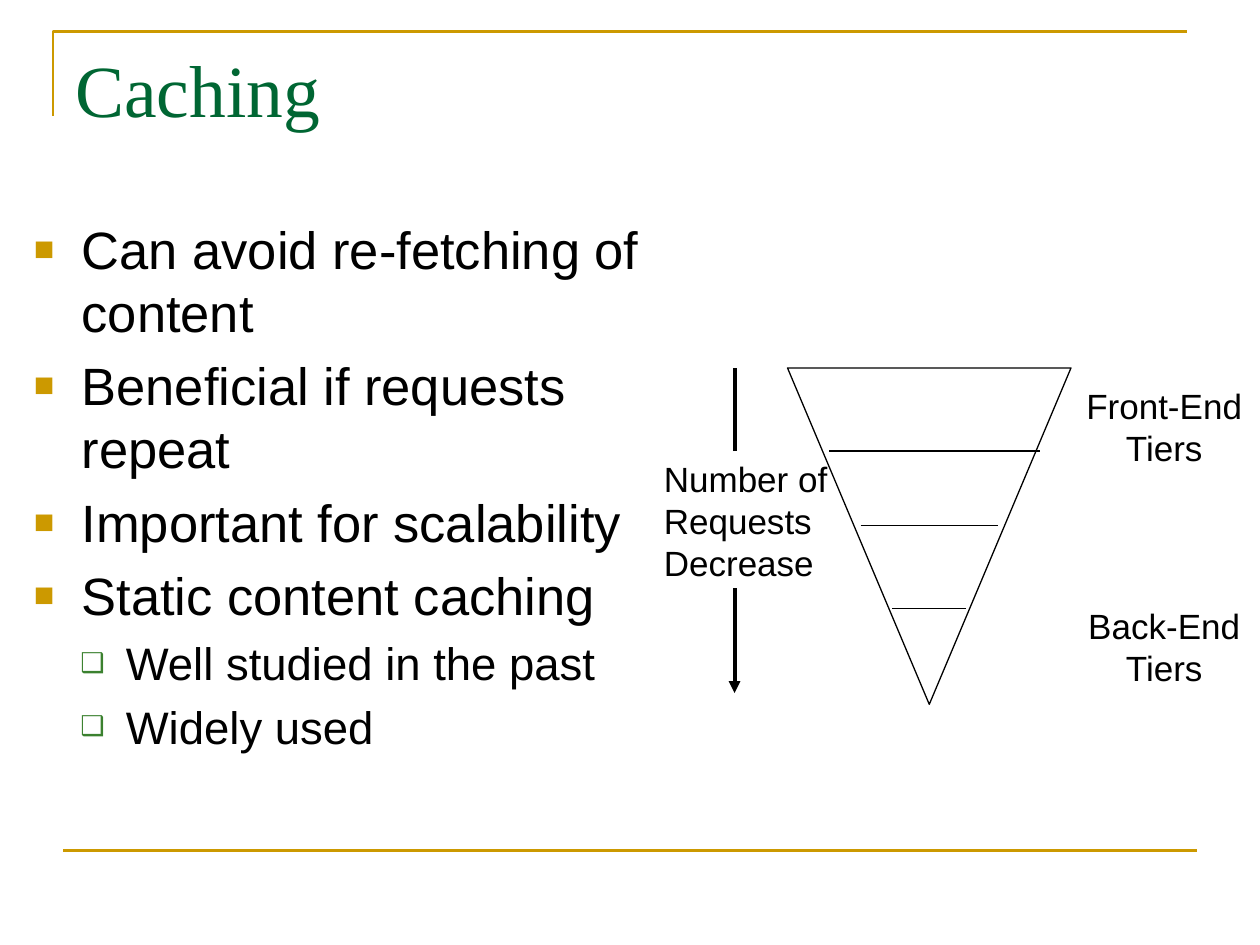
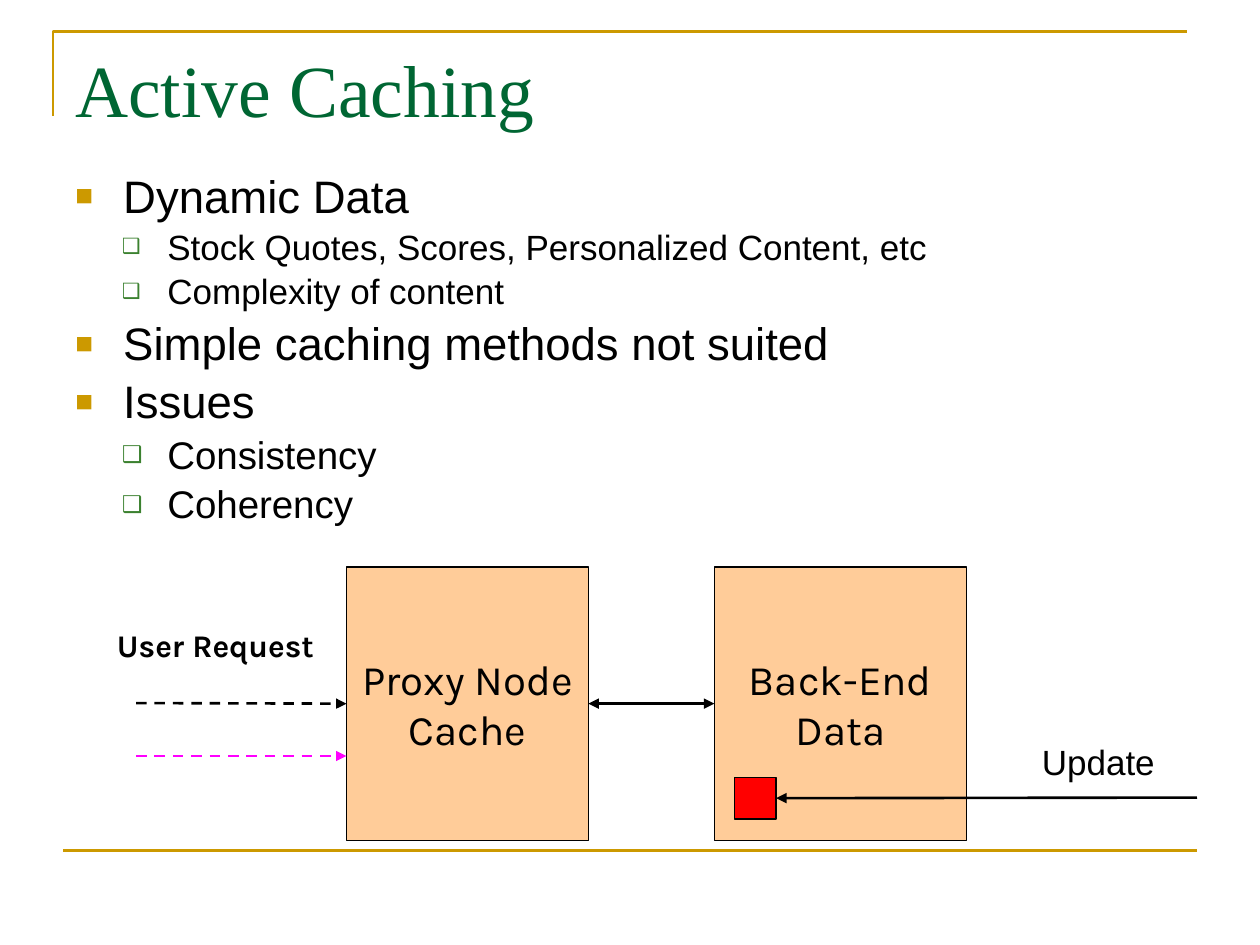
from lxml import etree
from pptx import Presentation
from pptx.dml.color import RGBColor
from pptx.enum.dml import MSO_LINE
from pptx.enum.shapes import MSO_CONNECTOR, MSO_SHAPE
from pptx.enum.text import MSO_ANCHOR, PP_ALIGN
from pptx.oxml.ns import qn
from pptx.util import Inches, Pt

GOLD = RGBColor(0xCC, 0x99, 0x00)
TITLE_GREEN = RGBColor(0x00, 0x66, 0x33)
BULLET_GREEN = RGBColor(0x3B, 0x81, 0x2F)
PEACH = RGBColor(0xFF, 0xCC, 0x99)
RED = RGBColor(0xFF, 0x00, 0x00)
MAGENTA = RGBColor(0xFF, 0x00, 0xFF)
BLACK = RGBColor(0x00, 0x00, 0x00)

TITLE_FONT, BODY_FONT, NODE_FONT = "Times New Roman", "Arial", "Karla"

# Per level: bullet character, colour, size in percent, left margin, hanging indent
BULLETS = [
    ("■", GOLD, 65, 0.38, 0.38),
    ("❑", BULLET_GREEN, 60, 0.73, 0.36),
]
RIGHT, LEFT = 3, 1  # connection sites of a rectangle


class Deck:
    """Holds the shared style and the slide being drawn."""

    def __init__(self):
        self.prs = Presentation()
        self.prs.slide_width, self.prs.slide_height = Inches(10), Inches(7.5)
        self.shapes = None

    def new_slide(self, title):
        self.shapes = self.prs.slides.add_slide(self.prs.slide_layouts[6]).shapes
        # Corner rule above the title and rule at the foot
        outline = self.shapes.build_freeform(Inches(0.42), Inches(0.92))
        outline.add_line_segments(
            [(Inches(0.42), Inches(0.25)), (Inches(9.42), Inches(0.25))], close=False)
        corner = outline.convert_to_shape()
        corner.shadow.inherit = False
        corner.fill.background()
        self.style_line(corner.line, GOLD, 1.5)
        self.line((0.5, 6.75), (9.5, 6.75), color=GOLD, width=1.5)
        self.text((0.5, 0.3, 9, 1.25), [title], wrap=True,
                  size=42, name=TITLE_FONT, color=TITLE_GREEN)

    def style_line(self, line, color, width):
        line.color.rgb = color
        line.width = Pt(width)

    def styled_run(self, paragraph, text, size, name=BODY_FONT, color=BLACK, bold=False):
        run = paragraph.add_run()
        run.text = text
        for key, value in {"size": Pt(size), "name": name, "bold": bold}.items():
            setattr(run.font, key, value)
        run.font.color.rgb = color

    def fill_frame(self, frame, lines, align, **font):
        for i, text in enumerate(lines):
            paragraph = frame.add_paragraph() if i else frame.paragraphs[0]
            paragraph.alignment = align
            self.styled_run(paragraph, text, **font)

    def text(self, box, lines, align=PP_ALIGN.LEFT, wrap=False, **font):
        frame = self.shapes.add_textbox(*map(Inches, box)).text_frame
        frame.word_wrap = wrap
        self.fill_frame(frame, lines, align, **font)

    def bullets(self, box, items, spacing=1.0):
        frame = self.shapes.add_textbox(*map(Inches, box)).text_frame
        frame.word_wrap = True
        for i, (level, size, text) in enumerate(items):
            paragraph = frame.add_paragraph() if i else frame.paragraphs[0]
            char, color, percent, margin, hanging = BULLETS[level]
            paragraph.level = level
            props = paragraph._p.get_or_add_pPr()
            props.set("marL", str(Inches(margin)))
            props.set("indent", str(-Inches(hanging)))
            bullet_color = etree.SubElement(props, qn("a:buClr"))
            etree.SubElement(bullet_color, qn("a:srgbClr"), val=str(color))
            etree.SubElement(props, qn("a:buSzPct"), val=str(percent * 1000))
            etree.SubElement(props, qn("a:buFont"), typeface=BODY_FONT)
            etree.SubElement(props, qn("a:buChar"), char=char)
            paragraph.line_spacing = spacing
            paragraph.space_before = Pt(0.2 * size if i else 0)
            self.styled_run(paragraph, text, size)

    def shape(self, kind, box, fill=None, lines=(), **font):
        shape = self.shapes.add_shape(kind, *map(Inches, box))
        shape.shadow.inherit = False
        if fill is None:
            shape.fill.background()
        else:
            shape.fill.solid()
            shape.fill.fore_color.rgb = fill
        self.style_line(shape.line, BLACK, 0.75)
        if lines:
            shape.text_frame.word_wrap = False
            shape.text_frame.vertical_anchor = MSO_ANCHOR.MIDDLE
            self.fill_frame(shape.text_frame, lines, PP_ALIGN.CENTER, **font)
        return shape

    def line(self, start, end, color=BLACK, width=0.75, dash=False, arrows=(),
             begin=None, finish=None):
        """Draw a line; arrows names its ends: headEnd at start, tailEnd at end."""
        connector = self.shapes.add_connector(
            MSO_CONNECTOR.STRAIGHT, *map(Inches, (*start, *end)))
        self.style_line(connector.line, color, width)
        if dash:
            connector.line.dash_style = MSO_LINE.DASH
        for arrow in arrows:
            etree.SubElement(connector.line._get_or_add_ln(), qn(f"a:{arrow}"),
                             type="triangle")
        etree.SubElement(connector._element.spPr, qn("a:effectLst"))
        if begin:
            connector.begin_connect(*begin)
        if finish:
            connector.end_connect(*finish)


def caching(deck):
    deck.new_slide("Caching")
    deck.bullets((0.17, 1.67, 5.17, 4.95), [
        (0, 30, "Can avoid re-fetching of content"),
        (0, 30, "Beneficial if requests repeat"),
        (0, 30, "Important for scalability"),
        (0, 30, "Static content caching"),
        (1, 26, "Well studied in the past"),
        (1, 26, "Widely used"),
    ])

    # Funnel of tiers, widest at the front end
    funnel = deck.shape(MSO_SHAPE.ISOSCELES_TRIANGLE, (6.25, 2.92, 2.25, 2.67))
    funnel.rotation = 180
    for left, right, y in [(6.58, 8.25, 3.58), (6.83, 7.92, 4.17), (7.08, 7.67, 4.83)]:
        deck.line((left, y), (right, y))
    for tier, y in [("Front-End", 3), ("Back-End", 4.75)]:
        deck.text((8.49, y, 1.5, 0.77), [tier, "Tiers"], PP_ALIGN.CENTER, size=20)

    # Falling request count
    deck.line((5.83, 4.67), (5.83, 5.5), width=2.25, arrows=["tailEnd"])
    deck.text((5.17, 3.58, 1.5, 1.1), ["Number of", "Requests", "Decrease"], size=20)
    deck.line((5.83, 3.58), (5.83, 2.92), width=2.25)


def active_caching(deck):
    deck.new_slide("Active Caching")
    deck.bullets((0.5, 1.33, 8.6, 3.17), [
        (0, 26, "Dynamic Data"),
        (1, 20, "Stock Quotes, Scores, Personalized Content, etc"),
        (1, 20, "Complexity of content"),
        (0, 26, "Simple caching methods not suited"),
        (0, 26, "Issues"),
        (1, 22, "Consistency"),
        (1, 22, "Coherency"),
    ], spacing=0.9)

    # Proxy and back end
    node_font = {"size": 24, "name": NODE_FONT}
    proxy = deck.shape(MSO_SHAPE.RECTANGLE, (2.75, 4.5, 1.92, 2.17), PEACH,
                       ["Proxy Node", "Cache"], **node_font)
    back_end = deck.shape(MSO_SHAPE.RECTANGLE, (5.67, 4.5, 2, 2.17), PEACH,
                          ["Back-End", "Data"], **node_font)
    deck.line((4.67, 5.58), (5.67, 5.58), width=1.75, arrows=["headEnd", "tailEnd"],
              begin=(proxy, RIGHT), finish=(back_end, LEFT))

    # User requests
    request = {"width": 1.5, "dash": True, "arrows": ["tailEnd"]}
    deck.line((1.08, 5.58), (2.75, 5.58), finish=(proxy, LEFT), **request)
    deck.line((1.08, 6), (2.75, 6), color=MAGENTA, **request)
    deck.text((0.83, 4.92, 1.88, 0.4), ["User Request"],
              size=18, name=NODE_FONT, bold=True)

    # Update of one data item
    data_item = deck.shape(MSO_SHAPE.RECTANGLE, (5.83, 6.17, 0.33, 0.33), RED)
    deck.line((9.5, 6.33), (6.17, 6.33), width=1.5, arrows=["tailEnd"],
              finish=(data_item, RIGHT))
    deck.text((8.17, 5.83, 1.1, 0.43), ["Update"], size=20)


def main():
    deck = Deck()
    caching(deck)
    active_caching(deck)
    deck.prs.save("out.pptx")


if __name__ == "__main__":
    main()
